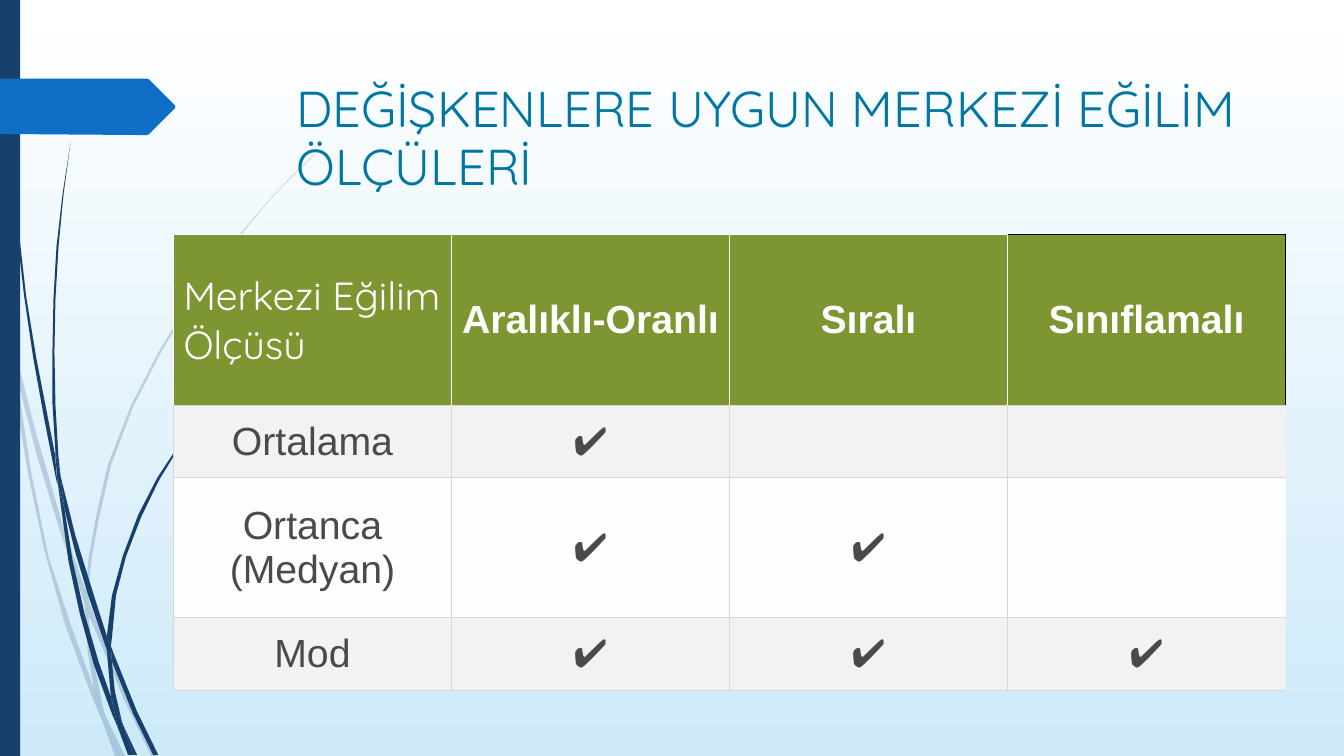
from dataclasses import dataclass

from lxml import etree
from pptx import Presentation
from pptx.dml.color import RGBColor
from pptx.enum.shapes import MSO_SHAPE
from pptx.enum.text import MSO_ANCHOR, MSO_AUTO_SIZE, PP_ALIGN
from pptx.oxml.ns import qn
from pptx.util import Pt

RECT = MSO_SHAPE.RECTANGLE
MIDDLE = MSO_ANCHOR.MIDDLE
LEFT, CENTER = PP_ALIGN.LEFT, PP_ALIGN.CENTER
FIXED = MSO_AUTO_SIZE.NONE
PX = 9144


@dataclass(frozen=True)
class Theme:
    """Colours, fonts and type sizes of the slide."""
    navy: str = "17406D"
    blue: str = "0F6FC6"
    teal: str = "0076A3"
    olive: str = "7E9632"
    gray: str = "4B4949"
    white: str = "FFFFFF"
    black: str = "000000"
    sky: str = "CEEAF9"
    rule: str = "D7D7D7"
    bands: tuple = ("F2F2F2", "FCFDFE")
    round: str = "Quicksand"
    sans: str = "Arial"
    head: int = 36
    body: int = 28


THEME = Theme()

PALE = [
    [(11, 350), (9, 322), (0, 282), (0, 299), (10, 344)],
    [(58, 522), (84, 599), (85, 586), (62, 520), (37, 434), (14, 345),
     (17, 376), (36, 450)],
    [(92, 607), (88, 596), (88, 610), (123, 694), (150, 750), (155, 750),
     (127, 692)],
    [(119, 750), (124, 750), (105, 711)],
    [(93, 683), (70, 619), (48, 552), (31, 469), (17, 376), (11, 350),
     (18, 410), (28, 470), (44, 546), (65, 621), (92, 693), (101, 714),
     (99, 707)],
    [(84, 599), (87, 646), (93, 683), (96, 692), (105, 711), (103, 706),
     (91, 646), (88, 610), (88, 608)],
    [(88, 584), (91, 553), (98, 515), (110, 462), (132, 404), (160, 349),
     (192, 296), (229, 245), (268, 198), (290, 175), (312, 154), (312, 153),
     (289, 175), (268, 197), (228, 244), (191, 294), (158, 348), (130, 402),
     (107, 461), (95, 514), (88, 553), (85, 584), (85, 586), (88, 596)],
    [(101, 714), (114, 750), (119, 750)],
    [(88, 608), (88, 610), (88, 596), (85, 586), (84, 599)],
    [(96, 692), (93, 683), (99, 707), (101, 714), (119, 750), (105, 711)],
]

DARK = [
    [(7, 110), (11, 172), (17, 233), (24, 294), (33, 355), (44, 416),
     (56, 477), (57, 481), (55, 457), (55, 453), (36, 355), (26, 294),
     (19, 232), (12, 171), (8, 109), (5, 48), (4, 0), (3, 0), (4, 48)],
    [(88, 592), (106, 645), (106, 631), (93, 590), (75, 532), (60, 472),
     (64, 505), (75, 549)],
    [(113, 649), (110, 641), (111, 656), (132, 708), (152, 749), (157, 749),
     (136, 706)],
    [(110, 691), (98, 657), (84, 609), (72, 556), (64, 505), (57, 477),
     (68, 557), (79, 608), (93, 659), (111, 708), (117, 722), (116, 717)],
    [(60, 472), (58, 453), (55, 402), (54, 349), (55, 297), (58, 245),
     (63, 193), (70, 141), (62, 193), (56, 245), (53, 297), (52, 349),
     (52, 400), (55, 449)],
    [(133, 749), (136, 749), (122, 719)],
    [(57, 477), (64, 505), (60, 472), (55, 449), (55, 453)],
    [(111, 633), (115, 591), (125, 552), (140, 513), (158, 476), (180, 440),
     (205, 406), (231, 374), (245, 359), (261, 344), (260, 344), (245, 358),
     (231, 373), (204, 405), (179, 439), (156, 474), (137, 511), (122, 551),
     (111, 591), (106, 631), (110, 641)],
    [(117, 722), (127, 749), (131, 749)],
    [(106, 645), (110, 691), (116, 706), (122, 719), (121, 716), (114, 686),
     (111, 656), (109, 651)],
    [(106, 645), (109, 651), (111, 656), (110, 641), (106, 631)],
    [(116, 706), (110, 691), (116, 717), (117, 722), (130, 749), (133, 749),
     (122, 719)],
]

FLAG = [(0, 78), (146, 78), (148, 79), (173, 104), (174, 106), (173, 108),
        (148, 133), (146, 134), (136, 134), (0, 133)]

ROWS = [
    ("Merkezi Eğilim Ölçüsü", "Aralıklı-Oranlı", "Sıralı", "Sınıflamalı"),
    ("Ortalama", "✔", "", ""),
    ("Ortanca (Medyan)", "✔", "✔", ""),
    ("Mod", "✔", "✔", "✔"),
]
HIGH = (169, 72, 139, 72)


def rgb(code):
    """Return a colour object for a hex code."""
    return RGBColor.from_string(code)


def scale(*sizes):
    """Turn px lengths into EMU."""
    return [size * PX for size in sizes]


def write(frame, text, *, font=THEME.sans, size=THEME.body, color=THEME.gray,
          bold=False, align=CENTER, pitch=None):
    """Put one formatted paragraph into a text frame."""
    para = frame.paragraphs[0]
    para.alignment = align
    para.line_spacing = pitch
    run = para.add_run()
    run.text = text
    run.font.name = font
    run.font.size = Pt(size)
    run.font.bold = bold
    run.font.color.rgb = rgb(color)


def paint(shape, color, alpha=None):
    """Give a shape a flat fill without line or shadow."""
    shape.shadow.inherit = False
    shape.line.fill.background()
    shape.fill.solid()
    shape.fill.fore_color.rgb = rgb(color)
    if alpha:
        tone = shape.fill._xPr.find(".//" + qn("a:srgbClr"))
        etree.SubElement(tone, qn("a:alpha"), val=str(alpha * 1000))


def trace(slide, points, left, top, color, alpha=None):
    """Draw a closed outline offset from its box corner."""
    spots = [(left + x, top + y) for x, y in points]
    pen = slide.shapes.build_freeform(*spots[0], scale=PX)
    pen.add_line_segments(spots[1:], close=True)
    paint(pen.convert_to_shape(), color, alpha)


def edge(cell, sides):
    """Set the left, right, top and bottom borders of a cell."""
    props = cell._tc.get_or_add_tcPr()
    for spot, (side, color) in enumerate(zip("LRTB", sides)):
        line = etree.Element(qn("a:ln" + side), w=str(Pt(1)))
        if color:
            fill = etree.SubElement(line, qn("a:solidFill"))
            etree.SubElement(fill, qn("a:srgbClr"), val=color)
        else:
            etree.SubElement(line, qn("a:noFill"))
        props.insert(spot, line)


def decor(slide, left, top, width, height):
    """Draw the backdrop, grass blades, side bar and flag."""
    fill = slide.background.fill
    fill.gradient()
    fill.gradient_angle = 270
    for stop, color in zip(fill.gradient_stops, (THEME.white, THEME.sky)):
        stop.color.rgb = rgb(color)
    for group, alpha in ((PALE, 20), (DARK, None)):
        for blade in group:
            trace(slide, blade, left, top, THEME.navy, alpha)
    bar = slide.shapes.add_shape(RECT, *scale(left, top, width, height))
    paint(bar, THEME.navy)
    trace(slide, FLAG, left, top, THEME.blue)


def title(slide, *box):
    """Place the title above the decoration."""
    head = slide.shapes.title
    slide.shapes._spTree.append(head._element)
    head.left, head.top, head.width, head.height = scale(*box)
    frame = head.text_frame
    frame.word_wrap = True
    frame.auto_size = FIXED
    frame.vertical_anchor = MIDDLE
    write(frame, "DEĞİŞKENLERE UYGUN MERKEZİ EĞİLİM ÖLÇÜLERİ",
          font=THEME.round, size=THEME.head, color=THEME.teal, align=LEFT,
          pitch=0.95)


def grid(slide, left, top, width):
    """Build the table of measures by variable type."""
    count = len(ROWS[0])
    box = scale(left, top, width, sum(HIGH))
    table = slide.shapes.add_table(len(ROWS), count, *box).table
    table.first_row = table.horz_banding = False
    for col in table.columns:
        col.width = width * PX // count
    for r, (texts, high) in enumerate(zip(ROWS, HIGH)):
        table.rows[r].height = high * PX
        for c, text in enumerate(texts):
            cell = table.cell(r, c)
            top_row, last = r == 0, c == count - 1
            cell.vertical_anchor = MIDDLE
            cell.fill.solid()
            band = THEME.olive if top_row else THEME.bands[(r + 1) % 2]
            cell.fill.fore_color.rgb = rgb(band)
            side = THEME.white if top_row else THEME.rule
            outer = THEME.black if top_row else None
            over = THEME.black if top_row and last else side
            edge(cell, (side, outer if last else side, over, THEME.rule))
            corner = top_row and c == 0
            if text:
                write(cell.text_frame, text,
                      font=THEME.round if corner else THEME.sans,
                      color=THEME.white if top_row else THEME.gray,
                      bold=top_row and not corner,
                      align=LEFT if corner else CENTER)


def main():
    """Build and save the slide."""
    deck = Presentation()
    deck.slide_width, deck.slide_height = scale(1333, 750)
    slide = deck.slides.add_slide(deck.slide_layouts[5])
    decor(slide, 0, 0, 20, 750)
    title(slide, 284, 68, 975, 140)
    grid(slide, 172, 233, 1103)
    deck.save("out.pptx")


if __name__ == "__main__":
    main()
